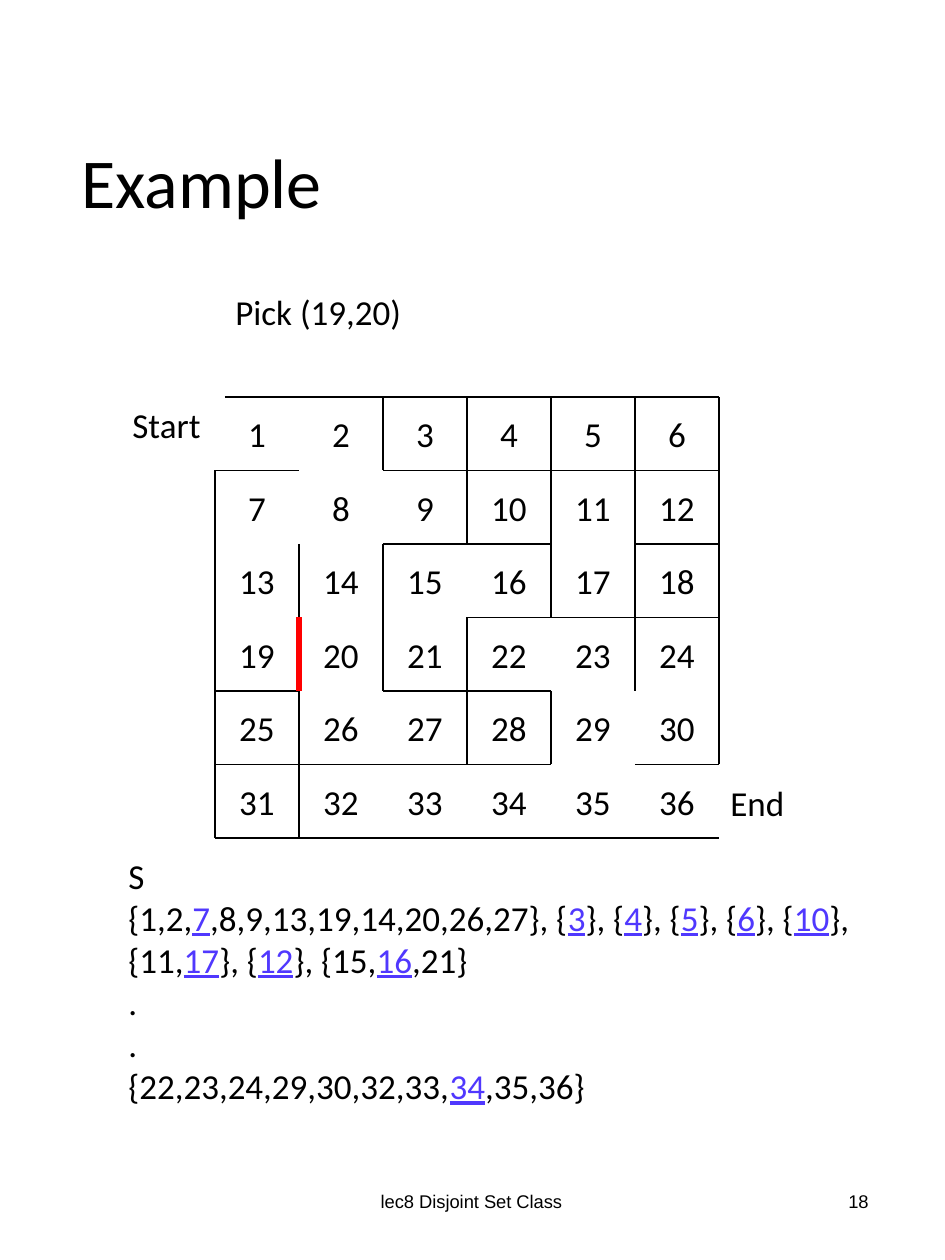
from dataclasses import dataclass

from lxml.etree import SubElement
from pptx import Presentation
from pptx.dml.color import RGBColor
from pptx.enum.shapes import MSO_CONNECTOR
from pptx.enum.text import MSO_ANCHOR, MSO_AUTO_SIZE, PP_ALIGN
from pptx.oxml.ns import qn
from pptx.util import Emu, Pt


@dataclass(frozen=True)
class Theme:
    ink: RGBColor = RGBColor(0, 0, 0)
    root: RGBColor = RGBColor(0x50, 0x38, 0xFE)
    picked: RGBColor = RGBColor(0xFF, 0, 0)
    face: str = "Calibri"
    footer_face: str = "Arial"
    title_size: float = 40
    body_size: float = 20
    footer_size: float = 10.5
    wall_width: float = 0.75
    picked_width: float = 3


THEME = Theme()
PX_PER_INCH = 126
SLIDE = (945, 1260)
TITLE = ("Example", (69, 64, 815, 243))
LABELS = [
    ("Pick (19,20)", (223, 284, 224, 55)),
    ("Start", (120, 397, 107, 55)),
    ("End", (718, 775, 89, 55)),
]
FOOTERS = [
    ("lec8 Disjoint Set Class", (312, 1168, 319, 67), PP_ALIGN.CENTER),
    ("18", (668, 1168, 213, 67), PP_ALIGN.RIGHT),
]
SETS_BOX = (116, 848, 785, 310)
ROOT_MARK = "*"
SETS = [
    "S",
    "{1,2,*7*,8,9,13,19,14,20,26,27}, {*3*}, {*4*}, {*5*}, {*6*}, {*10*}, "
    "{11,*17*}, {*12*}, {15,*16*,21}",
    ".",
    ".",
    "{22,23,24,29,30,32,33,*34*,35,36}",
]

MAZE_SIZE = 6
MAZE_LEFT, MAZE_TOP, MAZE_WIDTH, MAZE_HEIGHT = 215, 397, 504, 441
NUMBER_WIDTH, NUMBER_HEIGHT = 63, 53
ENTRY_WALL = (225, 397, 309, 397)
LONG_WALLS = [(5, 6, 0, 6), (0, 6, 0, 1)]
PICKED_WALL = (1, 3, 1, 4)
FLAT_WALL_COLUMNS = [
    (1, 2, 3, 4, 5),
    (0, 2, 3, 4, 5),
    (2, 3, 5),
    (3, 4, 5),
    (0, 2, 3),
    (0, 1, 2, 3, 5),
    (5,),
]
UPRIGHT_WALL_COLUMNS = [
    (2, 3, 4, 5, 6),
    (3, 4, 5, 6),
    (1, 2, 4, 5, 6),
    (2, 3, 5, 6),
    (1, 3, 4, 6),
    (1,),
]


def px(length):
    return Emu(round(length * 914400 / PX_PER_INCH))


def style(font, size, face=THEME.face):
    font.size, font.name = Pt(size), face
    font.color.rgb = THEME.ink


def add_text(slide, text, box, align=PP_ALIGN.LEFT, size=THEME.body_size,
             face=THEME.face, anchor=MSO_ANCHOR.MIDDLE, wrap=False):
    frame = slide.shapes.add_textbox(*map(px, box)).text_frame
    frame.word_wrap, frame.vertical_anchor = wrap, anchor
    line = frame.paragraphs[0]
    line.text, line.alignment = text, align
    style(line.font, size, face)
    return frame


def add_wall(slide, ends, color=THEME.ink, width=THEME.wall_width):
    wall = slide.shapes.add_connector(MSO_CONNECTOR.STRAIGHT, *map(px, ends))
    wall.line.color.rgb, wall.line.width = color, Pt(width)
    SubElement(wall._element.spPr, qn("a:effectLst"))


def corner(column, row):
    return (MAZE_LEFT + column * MAZE_WIDTH / MAZE_SIZE,
            MAZE_TOP + row * MAZE_HEIGHT / MAZE_SIZE)


def wall_ends(wall):
    return corner(*wall[:2]) + corner(*wall[2:])


def add_maze(slide):
    flat = [(column, row, column + 1, row)
            for row, columns in enumerate(FLAT_WALL_COLUMNS) for column in columns]
    upright = [(column, row, column, row + 1)
               for row, columns in enumerate(UPRIGHT_WALL_COLUMNS) for column in columns]
    for wall in flat + upright + LONG_WALLS:
        add_wall(slide, wall_ends(wall))
    add_wall(slide, ENTRY_WALL)
    add_wall(slide, wall_ends(PICKED_WALL), THEME.picked, THEME.picked_width)

    for index in range(MAZE_SIZE ** 2):
        row, column = divmod(index, MAZE_SIZE)
        center_x, center_y = corner(column + 0.5, row + 0.5)
        box = (center_x - NUMBER_WIDTH / 2, center_y - NUMBER_HEIGHT / 2,
               NUMBER_WIDTH, NUMBER_HEIGHT)
        add_text(slide, str(index + 1), box, PP_ALIGN.CENTER)


def add_sets(slide):
    frame = add_text(slide, "", SETS_BOX, anchor=MSO_ANCHOR.TOP, wrap=True)
    frame.auto_size = MSO_AUTO_SIZE.SHAPE_TO_FIT_TEXT
    for number, members in enumerate(SETS):
        line = frame.add_paragraph() if number else frame.paragraphs[0]
        style(line.font, THEME.body_size)
        for position, part in enumerate(members.split(ROOT_MARK)):
            run = line.add_run()
            run.text = part
            if position % 2:
                run.font.color.rgb, run.font.underline = THEME.root, True


def main():
    deck = Presentation()
    deck.slide_width, deck.slide_height = map(px, SLIDE)
    slide = deck.slides.add_slide(deck.slide_layouts[5])

    heading, heading_box = TITLE
    title = slide.shapes.title
    title.left, title.top, title.width, title.height = map(px, heading_box)
    title.text_frame.text = heading
    title.text_frame.vertical_anchor = MSO_ANCHOR.MIDDLE
    line = title.text_frame.paragraphs[0]
    line.alignment, line.line_spacing = PP_ALIGN.LEFT, 0.9
    style(line.font, THEME.title_size)

    for text, box, align in FOOTERS:
        add_text(slide, text, box, align, THEME.footer_size, THEME.footer_face, wrap=True)
    add_maze(slide)
    for text, box in LABELS:
        label = add_text(slide, text, box, anchor=MSO_ANCHOR.TOP)
        label.auto_size = MSO_AUTO_SIZE.SHAPE_TO_FIT_TEXT
    add_sets(slide)
    deck.save("out.pptx")


if __name__ == "__main__":
    main()
